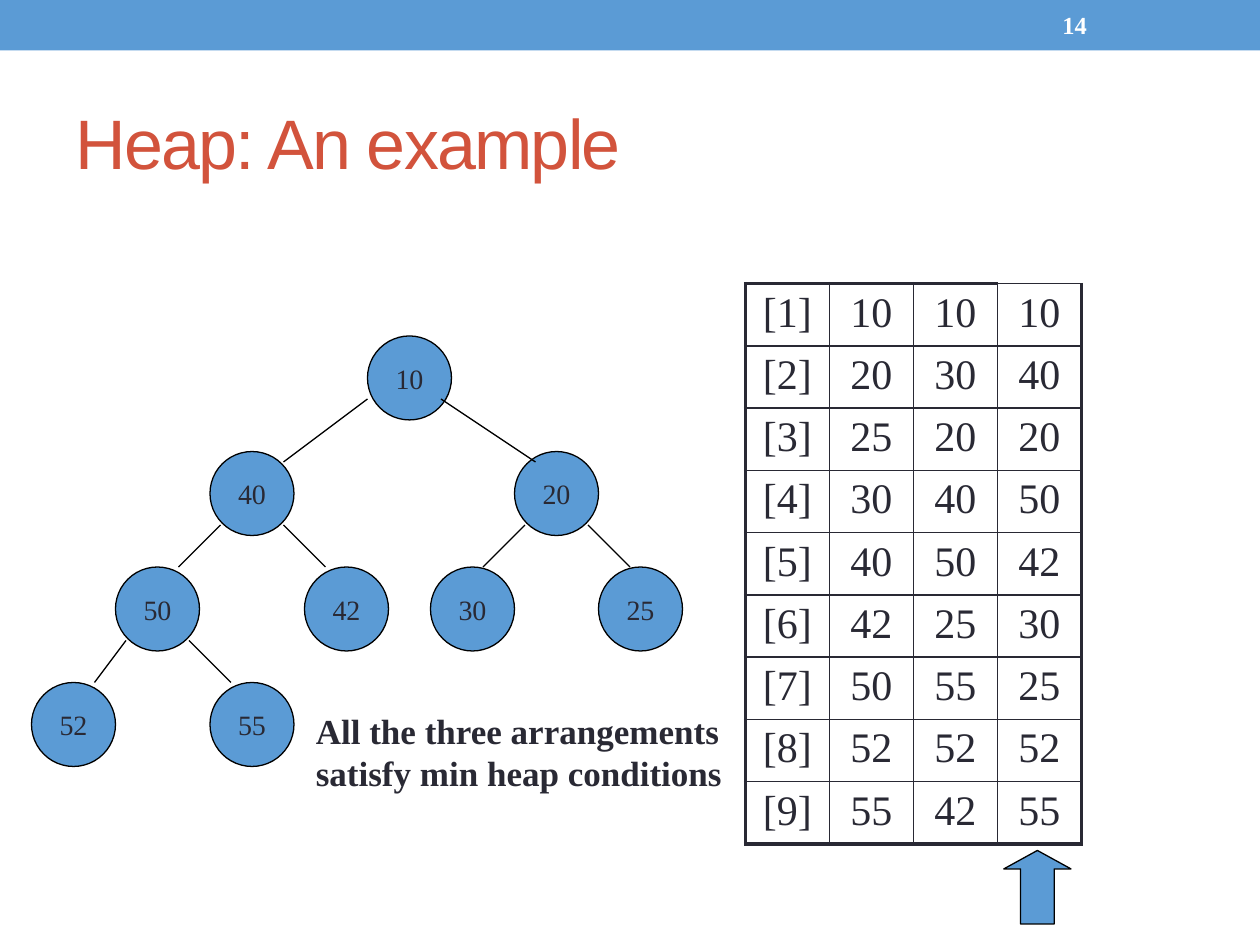
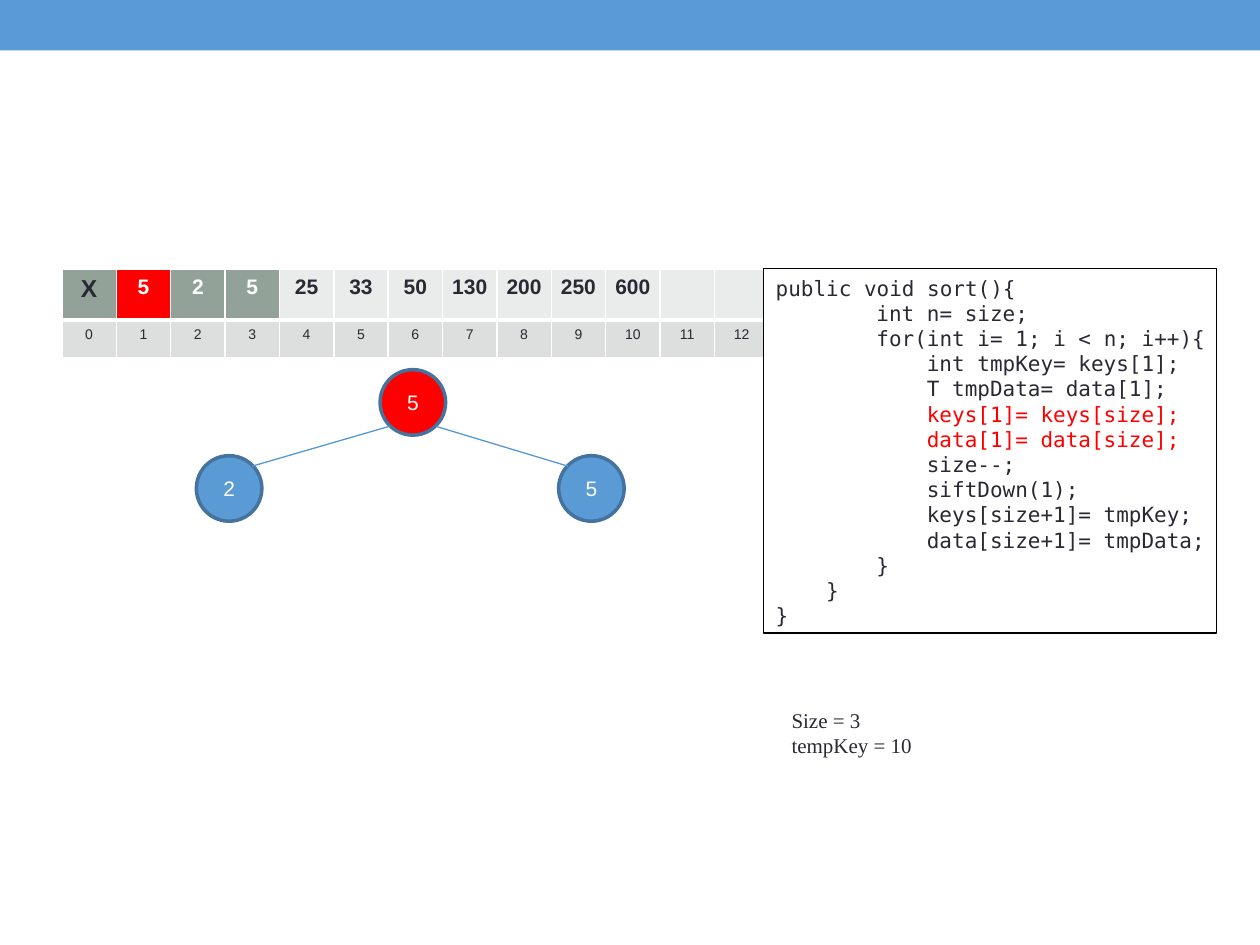
from lxml import etree
from pptx import Presentation
from pptx.dml.color import RGBColor
from pptx.enum.shapes import MSO_CONNECTOR, MSO_SHAPE
from pptx.enum.text import MSO_ANCHOR, PP_ALIGN
from pptx.oxml.ns import qn
from pptx.util import Inches, Pt

BLUE = RGBColor(0x5B, 0x9B, 0xD5)
EDGE = RGBColor(0x43, 0x73, 0x9E)
LINK = RGBColor(0x56, 0x98, 0xD3)
INK = RGBColor(0x29, 0x29, 0x34)
RUST = RGBColor(0xD2, 0x53, 0x3C)
RED = RGBColor(0xFF, 0x00, 0x00)
BLACK = RGBColor(0x00, 0x00, 0x00)
WHITE = RGBColor(0xFF, 0xFF, 0xFF)
SAGE = RGBColor(0x93, 0xA2, 0x99)
PALE = RGBColor(0xE9, 0xEC, 0xEB)
MIST = RGBColor(0xDC, 0xDF, 0xDD)
SERIF, SANS, MONO = "Times New Roman", "Arial", "DejaVu Sans Mono"

COLS, ROWS = 120, 90
U = Inches(10) / COLS


def write(tf, lines, color, font, para={}):
    for i, line in enumerate(lines):
        p = tf.paragraphs[0] if i == 0 else tf.add_paragraph()
        for key, value in para.items():
            setattr(p, key, value)
        r = p.add_run()
        r.text = line
        r.font.color.rgb = color
        for key, value in font.items():
            setattr(r.font, key, value)


def set_borders(cell, color, widths):
    tcPr = cell._tc.get_or_add_tcPr()
    for side, width in zip("LRTB", widths):
        ln = etree.SubElement(tcPr, qn(f"a:ln{side}"), w=str(Pt(width)))
        solid = etree.SubElement(ln, qn("a:solidFill"))
        etree.SubElement(solid, qn("a:srgbClr"), val=str(color))


prs = Presentation()
prs.slide_width, prs.slide_height = int(COLS * U), int(ROWS * U)
s1, s2 = [prs.slides.add_slide(prs.slide_layouts[6]) for _ in range(2)]

heaps = [
    [10, 20, 25, 30, 40, 42, 50, 52, 55],
    [10, 30, 20, 40, 50, 25, 55, 52, 42],
    [10, 40, 20, 50, 42, 30, 25, 52, 55],
]
heap_rows = [[f"[{i}]", *values] for i, values in enumerate(zip(*heaps), 1)]
keys = ["X", 5, 2, 5, 25, 33, 50, 130, 200, 250, 600, "", ""]

tables = []
for s, data, x, y, col, heights in [
    (s1, heap_rows, 71, 27, 8, [5.93] * 9),
    (s2, [keys, range(13)], 5.9, 25.6, 5.18, [4.6, 3.6]),
]:
    n = len(data[0])
    box = [int(v * U) for v in (x, y, col * n, sum(heights))]
    t = s.shapes.add_table(len(data), n, *box).table
    t.first_row = t.horz_banding = False
    for c in t.columns:
        c.width = int(col * U)
    for row, height in zip(t.rows, heights):
        row.height = int(height * U)
    tables.append((t, data))

THIN, THICK = 0.96, 2.21
t, data = tables[0]
for i, row in enumerate(data):
    for j, value in enumerate(row):
        cell = t.cell(i, j)
        thick = (j == 0, j == 3, i == 0 and j < 3, i == 8)
        set_borders(cell, INK, [THICK if b else THIN for b in thick])
        cell.fill.background()
        write(cell.text_frame, [str(value)], INK, {"size": Pt(24), "name": SERIF},
              {"alignment": PP_ALIGN.CENTER, "space_before": Pt(4.8)})

t, data = tables[1]
key_fills = [SAGE, RED, SAGE, SAGE] + [PALE] * 9
for i, row in enumerate(data):
    for j, value in enumerate(row):
        cell = t.cell(i, j)
        set_borders(cell, WHITE, [THIN, THIN, 3 if i else THIN, THIN if i else 3])
        cell.fill.solid()
        cell.fill.fore_color.rgb = MIST if i else key_fills[j]
        cell.margin_left = cell.margin_right = Inches(0.07)
        if value != "":
            size = 8 if i else 14 if j == 0 else 12
            write(cell.text_frame, [str(value)], WHITE if i == 0 and 0 < j < 4 else INK,
                  {"size": Pt(size), "name": SANS, "bold": i == 0},
                  {"alignment": PP_ALIGN.CENTER})

tree = [(10, 35, 32), (20, 49, 43), (40, 20, 43), (50, 11, 54), (42, 29, 54),
        (30, 41, 54), (25, 57, 54), (52, 3, 65), (55, 20, 65)]
small_tree = [(5, 36.2, 35.2, RED), (2, 18.7, 43.4, BLUE), (5, 53.2, 43.4, BLUE)]
node_font = {"size": Pt(16), "name": SERIF}
small_font = {"size": Pt(12), "name": SANS}

shapes = [(s, MSO_SHAPE.RECTANGLE, (0, 0, COLS, 4.8), BLUE, None, 0, None, None, None)
          for s in (s1, s2)]
shapes += [(s1, MSO_SHAPE.OVAL, (x, y, 8, 8), BLUE, BLACK, 0.75, value, INK, node_font)
           for value, x, y in tree]
shapes += [(s2, MSO_SHAPE.OVAL, (x, y, 6.24, 6.24), fill, EDGE, 2, value, WHITE, small_font)
           for value, x, y, fill in small_tree]
shapes += [
    (s1, MSO_SHAPE.UP_ARROW, (95.6, 81, 6.4, 7), BLUE, BLACK, 0.75, None, None, None),
    (s2, MSO_SHAPE.RECTANGLE, (72.7, 25.6, 43.2, 34.7), WHITE, BLACK, 0.75, None, None, None),
]
for s, kind, box, fill, line, width, value, color, font in shapes:
    sp = s.shapes.add_shape(kind, *[int(v * U) for v in box])
    sp.shadow.inherit = False
    sp.fill.solid()
    sp.fill.fore_color.rgb = fill
    if line is None:
        sp.line.fill.background()
    else:
        sp.line.color.rgb = line
        sp.line.width = Pt(width)
    if kind == MSO_SHAPE.UP_ARROW:
        sp.adjustments[0], sp.adjustments[1] = 0.5, 0.275
    if value is not None:
        tf = sp.text_frame
        tf.word_wrap = False
        tf.vertical_anchor = MSO_ANCHOR.MIDDLE
        write(tf, [str(value)], color, font, {"alignment": PP_ALIGN.CENTER})
code_box = sp

branches = [(35, 38, 27, 44), (42, 38, 51, 44), (21, 50, 17, 54), (27, 50, 31, 54),
            (50, 50, 46, 54), (56, 50, 60, 54), (12, 61, 9, 65), (18, 61, 22, 65)]
small_branches = [(37.1, 40.6, 24, 44.4), (41.5, 40.6, 54.1, 44.4)]
for s, ends, color in [(s1, branches, BLACK), (s2, small_branches, LINK)]:
    for points in ends:
        cn = s.shapes.add_connector(MSO_CONNECTOR.STRAIGHT, *[int(v * U) for v in points])
        cn.line.color.rgb = color
        cn.line.width = Pt(0.75)
        etree.SubElement(cn._element.spPr, qn("a:effectLst"))

texts = [
    (s1, (6, 7, 108, 13), ["Heap: An example"], RUST,
     {"size": Pt(40), "name": SANS}, {}, MSO_ANCHOR.MIDDLE),
    (s1, (100, 0.2, 14, 4.3), ["14"], WHITE,
     {"size": Pt(14), "name": SERIF, "bold": True}, {}, MSO_ANCHOR.MIDDLE),
    (s1, (28.9, 67, 41.2, 9.2),
     ["All the three arrangements", "satisfy min heap conditions"], INK,
     {"size": Pt(20), "name": SERIF, "bold": True}, {"line_spacing": Pt(24)}, MSO_ANCHOR.TOP),
    (s2, (74.2, 66.8, 13.8, 6), ["Size = 3", "tempKey = 10"], INK,
     {"size": Pt(12), "name": SERIF}, {"line_spacing": Pt(14.4)}, MSO_ANCHOR.TOP),
]
for s, box, lines, color, font, para, anchor in texts:
    tf = s.shapes.add_textbox(*[int(v * U) for v in box]).text_frame
    tf.word_wrap = True
    tf.margin_right = 0
    tf.vertical_anchor = anchor
    write(tf, lines, color, font, para)
    if color == RUST:
        tf.paragraphs[0].runs[0]._r.get_or_add_rPr().set("spc", "-100")

code = [
    (0, "public void sort(){"),
    (8, "int n= size;"),
    (8, "for(int i= 1; i < n; i++){"),
    (12, "int tmpKey= keys[1];"),
    (12, "T tmpData= data[1];"),
    (12, "keys[1]= keys[size];"),
    (12, "data[1]= data[size];"),
    (12, "size--;"),
    (12, "siftDown(1);"),
    (12, "keys[size+1]= tmpKey;"),
    (12, "data[size+1]= tmpData;"),
    (8, "}"),
    (4, "}"),
    (0, "}"),
]
tf = code_box.text_frame
tf.word_wrap = True
tf.margin_right = 0
tf.vertical_anchor = MSO_ANCHOR.TOP
write(tf, [line for _, line in code], INK, {"size": Pt(12), "name": MONO},
      {"alignment": PP_ALIGN.LEFT, "line_spacing": Pt(14.4)})
for p, (indent, line) in zip(tf.paragraphs, code):
    p._p.get_or_add_pPr().set("marL", str(Inches(indent * 0.1)))
    if line.endswith("[size];"):
        p.runs[0].font.color.rgb = RED

prs.save("out.pptx")
